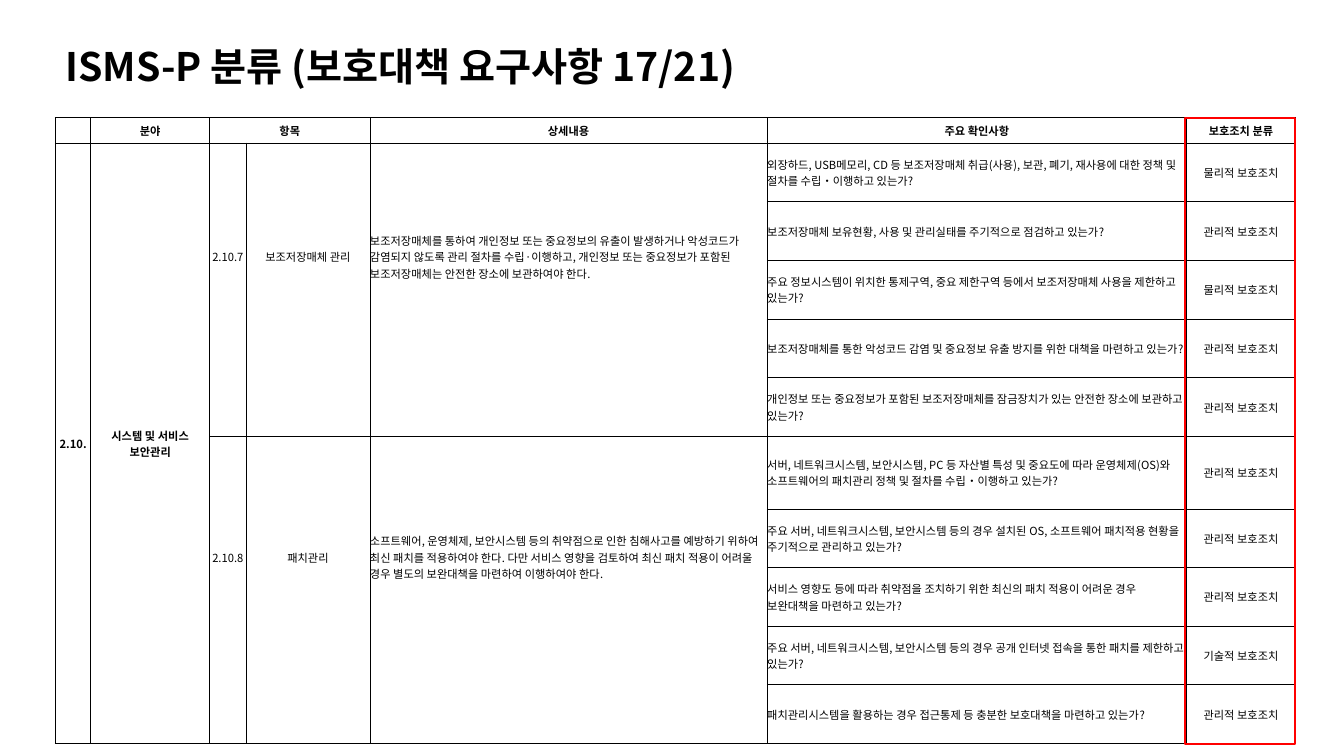
from lxml import etree
from pptx import Presentation
from pptx import util as u
from pptx.dml import color
from pptx.enum import shapes, text
from pptx.oxml import ns

FONT = "Noto Sans CJK KR"
BULLET = "‧"
PHYSICAL, MANAGERIAL, TECHNICAL = "물리적 보호조치", "관리적 보호조치", "기술적 보호조치"
COLUMNS = [0.35, 1.18, 0.36, 1.23, 3.94, 4.16, 1.08]
HEADER_HEIGHT, TALL_HEIGHT, TALL_ROW = 0.25, 0.72, 6
HEADINGS = {1: "분야", 2: "항목", 4: "상세내용", 5: "주요 확인사항", 6: "보호조치 분류"}
ITEMS = [
    ("2.10.7", "보조저장매체 관리",
     "보조저장매체를 통하여 개인정보 또는 중요정보의 유출이 발생하거나 악성코드가 감염되지 않도록 관리 절차를 "
     "수립·이행하고, 개인정보 또는 중요정보가 포함된 보조저장매체는 안전한 장소에 보관하여야 한다.",
     [("외장하드, USB메모리, CD 등 보조저장매체 취급(사용), 보관, 폐기, 재사용에 대한 정책 및 절차를 "
       "수립‧이행하고 있는가?", PHYSICAL),
      ("보조저장매체 보유현황, 사용 및 관리실태를 주기적으로 점검하고 있는가?", MANAGERIAL),
      ("주요 정보시스템이 위치한 통제구역, 중요 제한구역 등에서 보조저장매체 사용을 제한하고 있는가?", PHYSICAL),
      ("보조저장매체를 통한 악성코드 감염 및 중요정보 유출 방지를 위한 대책을 마련하고 있는가?", MANAGERIAL),
      ("개인정보 또는 중요정보가 포함된 보조저장매체를 잠금장치가 있는 안전한 장소에 보관하고 있는가?", MANAGERIAL)]),
    ("2.10.8", "패치관리",
     "소프트웨어, 운영체제, 보안시스템 등의 취약점으로 인한 침해사고를 예방하기 위하여 최신 패치를 적용하여야 한다. "
     "다만 서비스 영향을 검토하여 최신 패치 적용이 어려울 경우 별도의 보완대책을 마련하여 이행하여야 한다.",
     [("서버, 네트워크시스템, 보안시스템, PC 등 자산별 특성 및 중요도에 따라 운영체제(OS)와 소프트웨어의 "
       "패치관리 정책 및 절차를 수립‧이행하고 있는가?", MANAGERIAL),
      ("주요 서버, 네트워크시스템, 보안시스템 등의 경우 설치된 OS, 소프트웨어 패치적용 현황을 주기적으로 "
       "관리하고 있는가?", MANAGERIAL),
      ("서비스 영향도 등에 따라 취약점을 조치하기 위한 최신의 패치 적용이 어려운 경우 보완대책을 마련하고 있는가?",
       MANAGERIAL),
      ("주요 서버, 네트워크시스템, 보안시스템 등의 경우 공개 인터넷 접속을 통한 패치를 제한하고 있는가?", TECHNICAL),
      ("패치관리시스템을 활용하는 경우 접근통제 등 충분한 보호대책을 마련하고 있는가?", MANAGERIAL)]),
]


def rgb(value):
    """Return the colour for a hex string."""
    return color.RGBColor.from_string(value)


def set_format(target, values):
    """Set each named attribute on the target."""
    for name, value in values.items():
        setattr(target, name, value)


def add_runs(paragraph, words, size, bold):
    """Add the words as runs, with list dots in their own font."""
    for piece in words.replace(BULLET, f"|{BULLET}|").split("|"):
        run = paragraph.add_run()
        run.text = piece
        set_format(run.font, {"name": "Arial" if piece == BULLET else FONT,
                              "size": u.Pt(size), "bold": bold})
        run.font.color.rgb = rgb("000000")
        if piece != BULLET:
            properties = run.font._element
            etree.SubElement(properties, ns.qn("a:ea"), typeface=FONT)


def set_borders(cell, widths):
    """Draw black lines on the left, right, top and bottom of a cell."""
    properties = cell._tc.get_or_add_tcPr()
    for index, (side, width) in enumerate(zip("LRTB", widths)):
        line = etree.Element(ns.qn(f"a:ln{side}"), w=str(u.Pt(width)))
        fill = etree.SubElement(line, ns.qn("a:solidFill"))
        etree.SubElement(fill, ns.qn("a:srgbClr"), val="000000")
        properties.insert(index, line)


def format_cell(cell, row, column):
    """Clear the fill and set the margins, borders and empty text size."""
    set_format(cell, {"margin_left": 0, "margin_right": 0, "margin_top": 0, "margin_bottom": 0,
                      "vertical_anchor": text.MSO_ANCHOR.MIDDLE})
    cell.fill.background()
    last = len(COLUMNS) - 1
    set_borders(cell, [1 if column == 0 else 0.75, 1 if column == last else 0.75, 0.75, 0.75])
    etree.SubElement(cell.text_frame.paragraphs[0]._p, ns.qn("a:endParaRPr"), sz="800")


def write_cell(table, row, column, words, row_span=1, column_span=1):
    """Write one cell, merging it over its span."""
    cell = table.cell(row, column)
    if row_span > 1 or column_span > 1:
        cell.merge(table.cell(row + row_span - 1, column + column_span - 1))
    paragraph = cell.text_frame.paragraphs[0]
    centred = row == 0 or column not in (4, 5)
    paragraph.alignment = text.PP_ALIGN.CENTER if centred else text.PP_ALIGN.LEFT
    add_runs(paragraph, words, 8, row == 0 or column < 2)
    return cell


def add_title(slide, left, top, width, height):
    """Place and write the slide title."""
    title = slide.shapes.title
    set_format(title, {"left": u.Inches(left), "top": u.Inches(top),
                       "width": u.Inches(width), "height": u.Inches(height)})
    set_format(title.text_frame, {"word_wrap": True, "auto_size": text.MSO_AUTO_SIZE.NONE,
                                  "vertical_anchor": text.MSO_ANCHOR.MIDDLE})
    paragraph = title.text_frame.paragraphs[0]
    paragraph.alignment = text.PP_ALIGN.LEFT
    add_runs(paragraph, "ISMS-P 분류 (보호대책 요구사항 17/21)", 28, True)


def add_requirements(slide, left, top, height):
    """Build the requirements table and frame its last column in red."""
    row_count = 1 + sum(len(checks) for *_, checks in ITEMS)
    width = sum(COLUMNS)
    table = slide.shapes.add_table(row_count, len(COLUMNS), u.Inches(left), u.Inches(top),
                                   u.Inches(width), u.Inches(height)).table
    set_format(table, {"first_row": False, "horz_banding": False})
    for column, size in zip(table.columns, COLUMNS):
        column.width = u.Inches(size)
    heights = {0: HEADER_HEIGHT, TALL_ROW: TALL_HEIGHT}
    plain_height = (height - sum(heights.values())) / (row_count - len(heights))
    for row, line in enumerate(table.rows):
        line.height = u.Inches(heights.get(row, plain_height))
        for column, cell in enumerate(line.cells):
            format_cell(cell, row, column)

    for column, words in HEADINGS.items():
        write_cell(table, 0, column, words, column_span=2 if column == 2 else 1)
    for column, words in enumerate(["2.10.", "시스템 및 서비스 보안관리"]):
        write_cell(table, 1, column, words, row_span=row_count - 1)
    row = 1
    for *labels, checks in ITEMS:
        for column, words in enumerate(labels, 2):
            cell = write_cell(table, row, column, words, row_span=len(checks))
            cell.margin_bottom = u.Inches(0.65)
        for check in checks:
            for column, words in enumerate(check, 5):
                write_cell(table, row, column, words)
            row += 1

    frame = slide.shapes.add_shape(
        shapes.MSO_SHAPE.RECTANGLE, u.Inches(left + width - COLUMNS[-1] - 0.02), u.Inches(top),
        u.Inches(COLUMNS[-1] + 0.01), u.Inches(height))
    frame.shadow.inherit = False
    frame.fill.background()
    frame.line.color.rgb = rgb("FF0000")
    frame.line.width = u.Pt(1.5)


def main():
    """Build the slide and save it."""
    presentation = Presentation()
    set_format(presentation, {"slide_width": u.Inches(13.33), "slide_height": u.Inches(7.5)})
    slide = presentation.slides.add_slide(presentation.slide_layouts.get_by_name("Title Only"))
    add_title(slide, 0.55, 0.37, 8.73, 0.57)
    add_requirements(slide, 0.55, 1.17, 6.21)
    presentation.save("out.pptx")


main()
